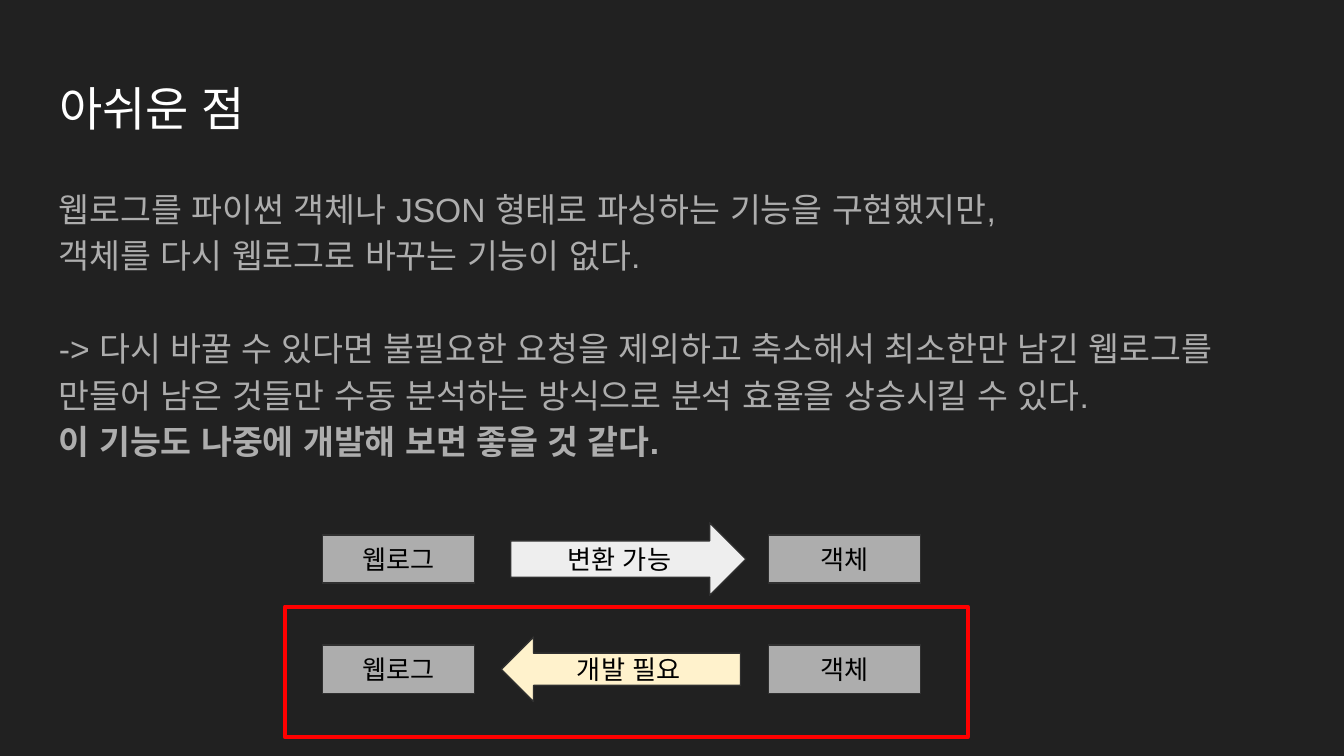
from pptx import Presentation
from pptx.dml.color import RGBColor
from pptx.enum.shapes import MSO_SHAPE
from pptx.enum.text import MSO_ANCHOR, MSO_AUTO_SIZE, PP_ALIGN
from pptx.oxml.ns import qn
from pptx.util import Inches, Pt

RECT = MSO_SHAPE.RECTANGLE
RIGHT_ARROW = MSO_SHAPE.RIGHT_ARROW
LEFT_ARROW = MSO_SHAPE.LEFT_ARROW
TOP, MIDDLE = MSO_ANCHOR.TOP, MSO_ANCHOR.MIDDLE
LEFT, CENTER = PP_ALIGN.LEFT, PP_ALIGN.CENTER
NO_AUTOFIT = MSO_AUTO_SIZE.NONE

WIDTH = 10
HEIGHT = WIDTH * 9 / 16
MARGIN = 0.34
CONTENT_WIDTH = WIDTH - 2 * MARGIN
FONT = "Arial"
COLORS = {
    "background": "212121",
    "title": "FFFFFF",
    "body": "ADADAD",
    "box": "ADADAD",
    "outline": "303030",
    "label": "000000",
    "available": "EEEEEE",
    "needed": "FFF2CC",
    "highlight": "FF0000",
}

BOX_WIDTH, BOX_HEIGHT = 1.13, 0.36
LOG_LEFT, OBJECT_LEFT = 2.4, 5.72
# Row centre, arrow shape, arrow left, arrow width, arrow height, colour, label
CONVERSIONS = [
    (4.16, RIGHT_ARROW, 3.8, 1.75, 0.54, "available", "변환 가능"),
    (4.98, LEFT_ARROW, 3.73, 1.78, 0.48, "needed", "개발 필요"),
]

# Text, bold, space before in points
BODY = [
    ("웹로그를 파이썬 객체나 JSON 형태로 파싱하는 기능을 구현했지만,", False, 0),
    ("객체를 다시 웹로그로 바꾸는 기능이 없다.", False, 0),
    ("-> 다시 바꿀 수 있다면 불필요한 요청을 제외하고 축소해서 최소한만 남긴 "
     "웹로그를 만들어 남은 것들만 수동 분석하는 방식으로 분석 효율을 상승시킬 수 있다.",
     False, 25),
    ("이 기능도 나중에 개발해 보면 좋을 것 같다.", True, 0),
]


def rgb(name):
    return RGBColor.from_string(COLORS[name])


def write(paragraph, text, *, size, color, bold=False, align=LEFT,
          line_spacing=1.0, space_before=0):
    paragraph.alignment = align
    paragraph.line_spacing = line_spacing
    paragraph.space_before = Pt(space_before)
    run = paragraph.add_run()
    run.text = text
    font = run.font
    font.name = FONT
    font.size = Pt(size)
    font.bold = bold
    font.color.rgb = rgb(color)
    east_asian = font._element.makeelement(qn("a:ea"), {"typeface": FONT})
    font._element.find(qn("a:latin")).addnext(east_asian)


def set_frame(frame, anchor):
    frame.word_wrap = True
    frame.auto_size = NO_AUTOFIT
    frame.vertical_anchor = anchor
    frame.margin_left = frame.margin_right = Inches(0.1)
    frame.margin_top = frame.margin_bottom = Inches(0.1)


def add_title(slide, text):
    title = slide.shapes.title
    title.left, title.top = Inches(MARGIN), Inches(0.49)
    title.width, title.height = Inches(CONTENT_WIDTH), Inches(0.63)
    set_frame(title.text_frame, TOP)
    write(title.text_frame.paragraphs[0], text, size=25.2, color="title")


def add_body(slide):
    body = slide.shapes.add_textbox(Inches(MARGIN), Inches(1.26),
                                    Inches(CONTENT_WIDTH), Inches(3.74))
    frame = body.text_frame
    set_frame(frame, TOP)
    for index, (text, bold, space_before) in enumerate(BODY):
        paragraph = frame.add_paragraph() if index else frame.paragraphs[0]
        write(paragraph, text, size=18, color="body", bold=bold,
              line_spacing=1.15, space_before=space_before)


def add_block(slide, kind, left, middle, width, height, *, fill=None,
              line="outline", line_width=0.75, label=None):
    """Add a shape centred vertically on middle."""
    block = slide.shapes.add_shape(kind, Inches(left), Inches(middle - height / 2),
                                   Inches(width), Inches(height))
    block.shadow.inherit = False
    if fill:
        block.fill.solid()
        block.fill.fore_color.rgb = rgb(fill)
    else:
        block.fill.background()
    block.line.color.rgb = rgb(line)
    block.line.width = Pt(line_width)
    if label:
        set_frame(block.text_frame, MIDDLE)
        write(block.text_frame.paragraphs[0], label, size=14, color="label",
              align=CENTER)


def add_conversion(slide, middle, arrow, left, width, height, color, label):
    for box_left, name in ((LOG_LEFT, "웹로그"), (OBJECT_LEFT, "객체")):
        add_block(slide, RECT, box_left, middle, BOX_WIDTH, BOX_HEIGHT,
                  fill="box", label=name)
    add_block(slide, arrow, left, middle, width, height, fill=color, label=label)


def main():
    presentation = Presentation()
    presentation.slide_width = Inches(WIDTH)
    presentation.slide_height = Inches(HEIGHT)
    slide = presentation.slides.add_slide(presentation.slide_layouts[5])
    slide.background.fill.solid()
    slide.background.fill.fore_color.rgb = rgb("background")

    add_title(slide, "아쉬운 점")
    add_body(slide)
    for conversion in CONVERSIONS:
        add_conversion(slide, *conversion)
    add_block(slide, RECT, 2.12, 5, 5.08, 0.97, line="highlight", line_width=2.25)

    presentation.save("out.pptx")


if __name__ == "__main__":
    main()
